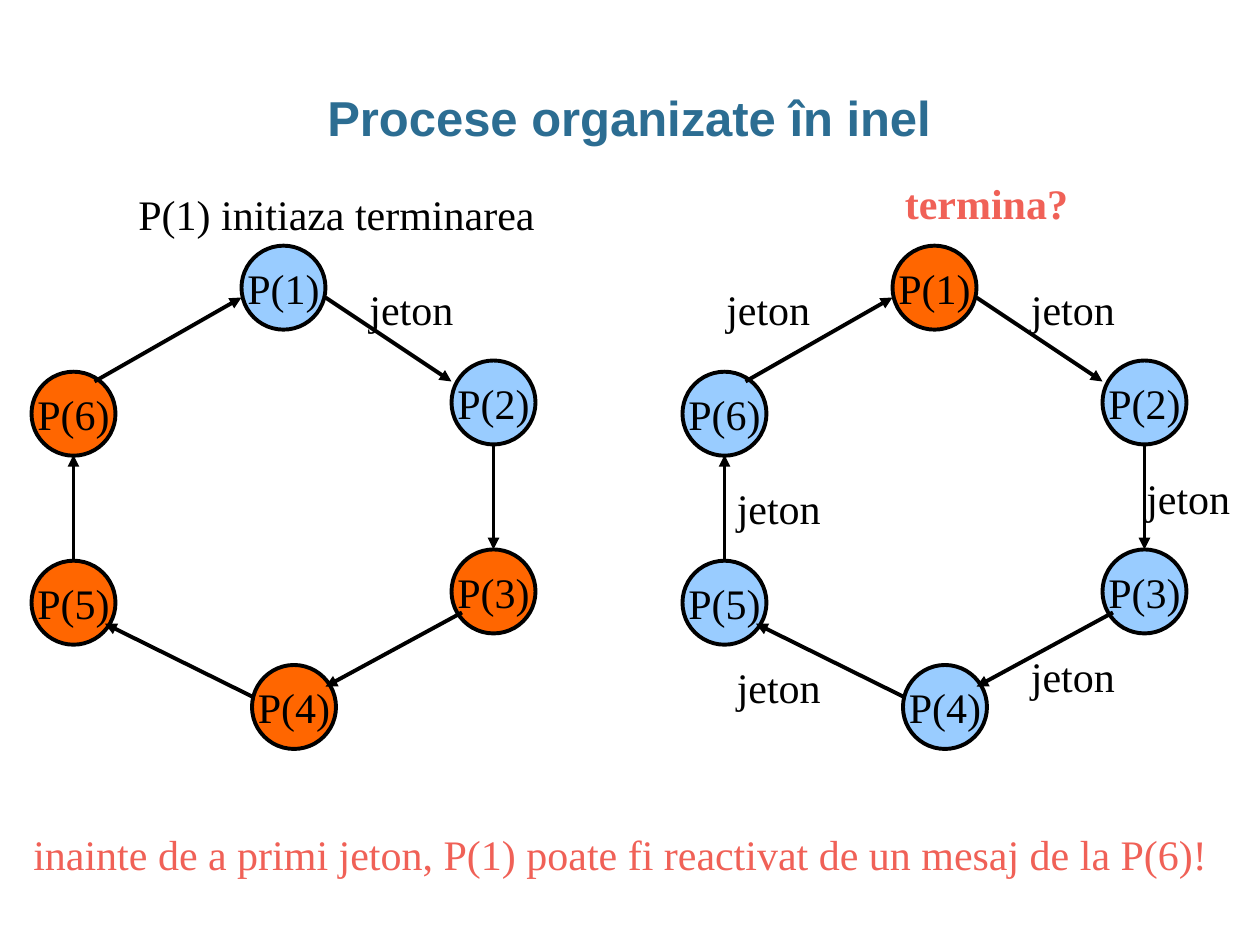
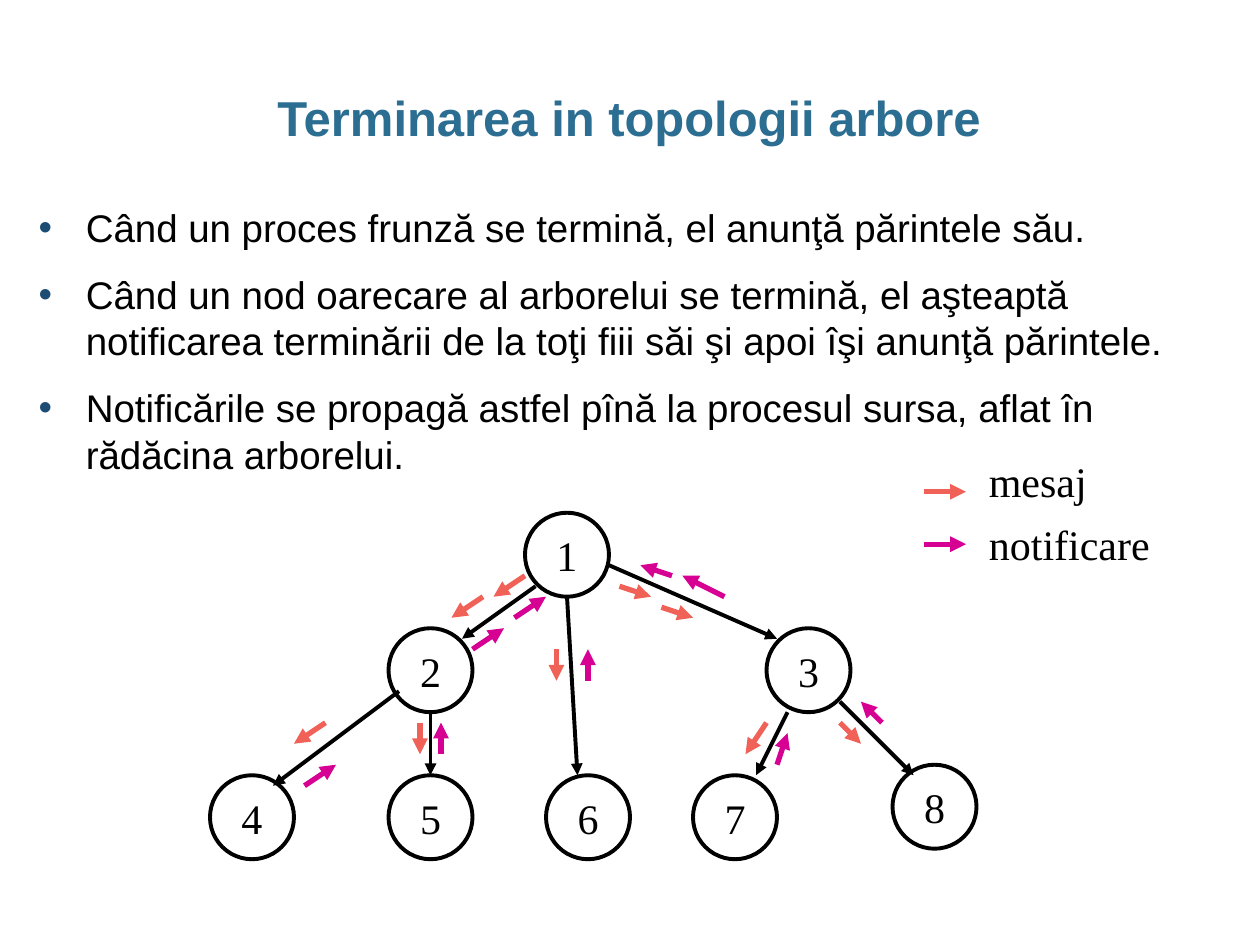
from dataclasses import dataclass
from typing import NamedTuple

from lxml.etree import SubElement as Sub
from pptx import Presentation
from pptx.dml.color import RGBColor as RGB
from pptx.enum.shapes import MSO_CONNECTOR as Conn, MSO_SHAPE as Form
from pptx.enum.text import MSO_ANCHOR as Anchor, PP_ALIGN as Align
from pptx.oxml.ns import qn
from pptx.slide import Slide
from pptx.text.text import TextFrame as Frame
from pptx.util import Pt


@dataclass(frozen=True)
class Theme:
    title: str = "2C6D92"
    ink: str = "000000"
    coral: str = "F06157"
    pink: str = "D60093"
    busy: str = "FF6600"
    idle: str = "99CCFF"
    dot: str = "1C4C74"
    sans: str = "Arial"
    serif: str = "Times New Roman"
    head: int = 28
    body: int = 22
    note: int = 24
    edge: float = 2.25
    bold: float = 3
    node: int = 48


THEME = Theme()


class Node(NamedTuple):
    text: str
    x: float
    y: float
    fill: str = ""


class Link(NamedTuple):
    x1: float
    y1: float
    x2: float
    y2: float


class Label(NamedTuple):
    text: str
    x: float
    y: float
    wide: float
    color: str = THEME.ink
    bold: bool = False


SPOTS = [(138, 140.4), (258, 206), (258, 314),
         (144, 380), (18, 320.4), (18, 212.4)]
HOPS = [
    Link(186, 170, 258, 218),
    Link(282, 254, 282, 314),
    Link(264, 350, 186, 392.4),
    Link(144, 398, 60, 356.4),
    Link(42, 320.4, 42, 260),
    Link(54, 218, 138, 170),
]
SHIFT = 372
IDLE = [(0, {1, 2}), (SHIFT, {2, 3, 4, 5, 6})]

TOKENS = [(204, 158.4, 66), (582, 158.4, 72), (648, 266.4, 72),
          (582, 368, 72), (414, 374.4, 72), (414, 272.4, 72),
          (408, 158.4, 66)]
NOTES = [
    Label("termina?", 510, 98, 114, THEME.coral, True),
    Label("inainte de a primi jeton, P(1) poate fi reactivat de un mesaj "
          "de la P(6)!", 12, 470, 690, THEME.coral),
    Label("P(1) initiaza terminarea", 72, 104.4, 258),
]

POINTS = [
    "Când un proces frunză se termină, el anunţă părintele său.",
    "Când un nod oarecare al arborelui se termină, el aşteaptă "
    "notificarea terminării de la toţi fiii săi şi apoi îşi anunţă părintele.",
    "Notificările se propagă astfel pînă la procesul sursa, aflat în "
    "rădăcina arborelui.",
]
TREE = [(300, 293), (222, 359), (438, 359), (120, 443),
        (222, 443), (312, 443), (396, 443), (510, 437)]
EDGES = [
    Link(306, 335, 264, 365),
    Link(228, 395, 156, 449),
    Link(246, 407, 246, 443),
    Link(348, 323, 444, 365),
    Link(450, 407, 432, 443),
    Link(480, 401, 522, 443),
    Link(324, 341, 330, 443),
]
SENDS = [
    Link(300, 329, 282, 341),
    Link(276, 341, 258, 353),
    Link(186, 413, 168, 425),
    Link(354, 335, 372, 341),
    Link(378, 347, 396, 353),
    Link(240, 413, 240, 431),
    Link(438, 413, 426, 431),
    Link(480, 413, 492, 425),
    Link(318, 371, 318, 389),
    Link(528, 281, 552, 281),
]
REPLIES = [
    Link(174, 449, 192, 437),
    Link(252, 431, 252, 413),
    Link(294, 353, 312, 341),
    Link(336, 389, 336, 371),
    Link(384, 329, 366, 323),
    Link(504, 413, 492, 401),
    Link(444, 437, 450, 419),
    Link(414, 341, 390, 329),
    Link(270, 371, 288, 359),
    Link(528, 311, 552, 311),
]
KEYS = [Label("mesaj", 558, 257, 102), Label("notificare", 558, 293, 108)]


def add_run(para, text: str, size: float, face: str, color: str,
            bold: bool = False) -> None:
    run = para.add_run()
    run.text = text
    font = run.font
    font.size, font.name, font.bold = Pt(size), face, bold
    font.color.rgb = RGB.from_string(color)


def add_box(slide: Slide, x: float, y: float, wide: float,
            high: float) -> Frame:
    frame = slide.shapes.add_textbox(Pt(x), Pt(y), Pt(wide), Pt(high)).text_frame
    frame.word_wrap = True
    return frame


def add_title(slide: Slide, text: str) -> None:
    frame = add_box(slide, 24.5, 49, 670, 36)
    frame.margin_left = frame.margin_right = 0
    para = frame.paragraphs[0]
    para.alignment, para.line_spacing = Align.CENTER, 0.95
    add_run(para, text, THEME.head, THEME.sans, THEME.title, True)


def add_label(slide: Slide, item: Label) -> None:
    frame = add_box(slide, item.x, item.y, item.wide, 36)
    add_run(frame.paragraphs[0], item.text, THEME.note, THEME.serif,
            item.color, item.bold)


def add_node(slide: Slide, node: Node) -> None:
    size = Pt(THEME.node)
    shape = slide.shapes.add_shape(Form.OVAL, Pt(node.x), Pt(node.y), size, size)
    shape.shadow.inherit = False
    if node.fill:
        shape.fill.solid()
        shape.fill.fore_color.rgb = RGB.from_string(node.fill)
    else:
        shape.fill.background()
    shape.line.color.rgb = RGB.from_string(THEME.ink)
    shape.line.width = Pt(THEME.edge)
    frame = shape.text_frame
    frame.word_wrap, frame.vertical_anchor = False, Anchor.MIDDLE
    para = frame.paragraphs[0]
    para.alignment = Align.CENTER
    add_run(para, node.text, THEME.note, THEME.serif, THEME.ink)


def add_links(slide: Slide, links: list[Link], color: str = THEME.ink,
              width: float = THEME.edge, shift: float = 0) -> None:
    for link in links:
        line = slide.shapes.add_connector(
            Conn.STRAIGHT, Pt(link.x1 + shift), Pt(link.y1),
            Pt(link.x2 + shift), Pt(link.y2))
        line.line.color.rgb = RGB.from_string(color)
        line.line.width = Pt(width)
        props = line._element.spPr
        Sub(props.find(qn("a:ln")), qn("a:tailEnd"), type="triangle")
        Sub(props, qn("a:effectLst"))


def add_points(slide: Slide, items: list[str]) -> None:
    frame = add_box(slide, 15, 113, 690, 192)
    for i, text in enumerate(items):
        para = frame.add_paragraph() if i else frame.paragraphs[0]
        para.space_after = Pt(12)
        props = para._p.get_or_add_pPr()
        props.set("marL", str(Pt(27)))
        props.set("indent", str(Pt(-27)))
        Sub(Sub(props, qn("a:buClr")), qn("a:srgbClr"), val=THEME.dot)
        Sub(props, qn("a:buFont"), typeface=THEME.sans)
        Sub(props, qn("a:buChar"), char="•")
        add_run(para, text, THEME.body, THEME.sans, THEME.ink)


def draw_ring(slide: Slide) -> None:
    add_title(slide, "Procese organizate în inel")
    for shift, idle in IDLE:
        for i, (x, y) in enumerate(SPOTS, 1):
            fill = THEME.idle if i in idle else THEME.busy
            add_node(slide, Node(f"P({i})", x + shift, y, fill))
        add_links(slide, HOPS, shift=shift)
    for x, y, wide in TOKENS:
        add_label(slide, Label("jeton", x, y, wide))
    for note in NOTES:
        add_label(slide, note)


def draw_tree(slide: Slide) -> None:
    add_title(slide, "Terminarea in topologii arbore")
    add_points(slide, POINTS)
    for i, (x, y) in enumerate(TREE, 1):
        add_node(slide, Node(str(i), x, y))
    add_links(slide, EDGES)
    add_links(slide, SENDS, THEME.coral, THEME.bold)
    add_links(slide, REPLIES, THEME.pink, THEME.bold)
    for key in KEYS:
        add_label(slide, key)


def main() -> None:
    deck = Presentation()
    deck.slide_width, deck.slide_height = Pt(720), Pt(540)
    for draw in (draw_ring, draw_tree):
        draw(deck.slides.add_slide(deck.slide_layouts[6]))
    deck.save("out.pptx")


if __name__ == "__main__":
    main()
